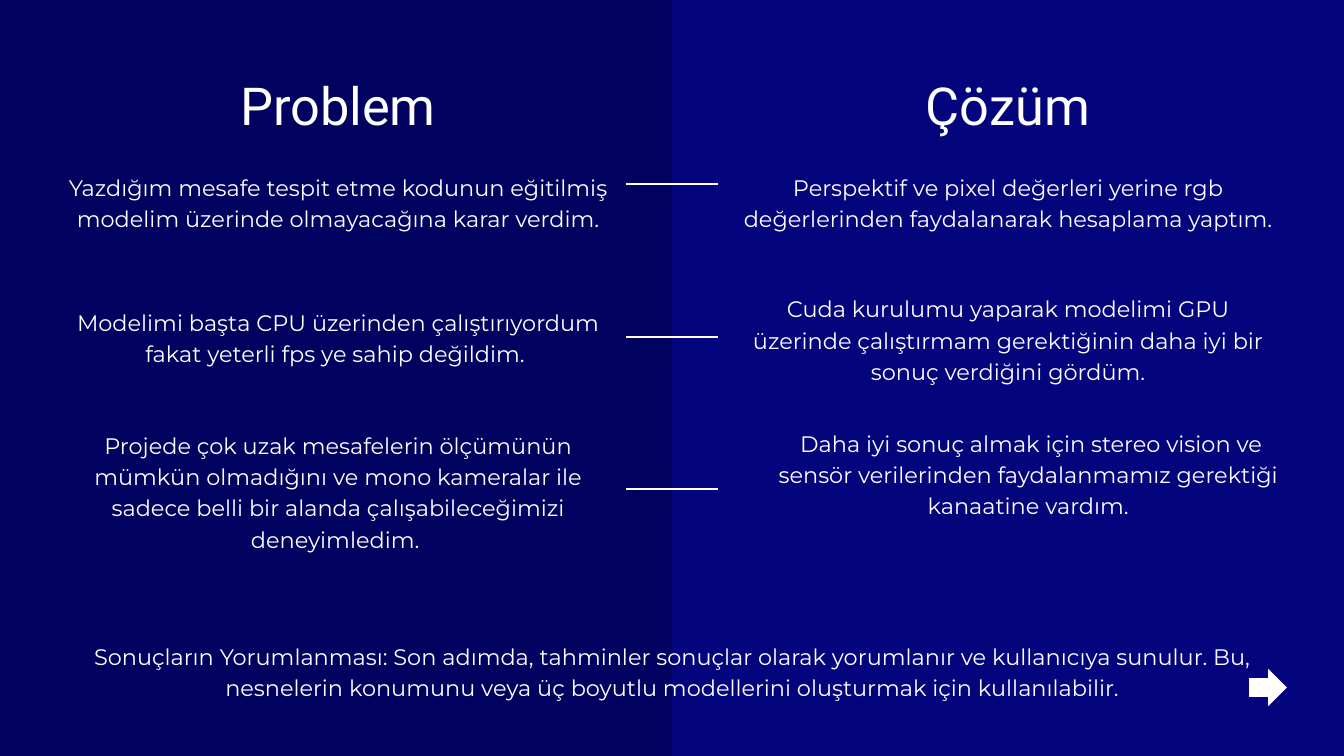
import pptx
import pptx.dml.color
import pptx.enum.shapes
import pptx.enum.text
import pptx.oxml.ns
import pptx.oxml.xmlchemy
import pptx.util
from dataclasses import dataclass

SHAPE = pptx.enum.shapes.MSO_SHAPE
PX = 9144  # 100 px to the inch


@dataclass
class Theme:
    back: str = "01025F"
    panel: str = "050682"
    ink: str = "FFFFFF"
    head: tuple = ("Roboto", 56, 57.7)  # font, size, line spacing
    body: tuple = ("Montserrat", 24, 33.6)
    rule: float = 2.25


def rgb(code):
    return pptx.dml.color.RGBColor.from_string(code)


def add_xml(parent, tag, **attrs):
    node = pptx.oxml.xmlchemy.OxmlElement(tag)
    for key, value in attrs.items():
        node.set(key, value)
    parent.append(node)


class Deck:
    def __init__(self, theme, width, height):
        self.theme = theme
        self.prs = pptx.Presentation()
        self.prs.slide_width = width * PX
        self.prs.slide_height = height * PX
        self.slide = self.prs.slides.add_slide(self.prs.slide_layouts[6])
        fill = self.slide.background.fill
        fill.solid()
        fill.fore_color.rgb = rgb(theme.back)

    def shape(self, kind, box, color, alpha=100):
        item = self.slide.shapes.add_shape(kind, *(n * PX for n in box))
        item.shadow.inherit = False
        item.fill.solid()
        item.fill.fore_color.rgb = rgb(color)
        item.line.fill.background()
        if alpha < 100:
            node = item._element.spPr.find(".//" + pptx.oxml.ns.qn("a:srgbClr"))
            add_xml(node, "a:alpha", val=str(alpha * 1000))

    def text(self, words, box, style):
        font, size, lead = style
        frame = self.slide.shapes.add_textbox(*(n * PX for n in box)).text_frame
        frame.word_wrap = True
        frame.margin_left = frame.margin_right = 0
        frame.margin_top = frame.margin_bottom = 0
        frame.text = words
        para = frame.paragraphs[0]
        para.alignment = pptx.enum.text.PP_ALIGN.CENTER
        para.line_spacing = pptx.util.Pt(lead)
        for run in para.runs:
            run.font.name = font
            run.font.size = pptx.util.Pt(size)
            run.font.color.rgb = rgb(self.theme.ink)

    def line(self, left, right, y):
        item = self.slide.shapes.add_connector(
            pptx.enum.shapes.MSO_CONNECTOR.STRAIGHT,
            left * PX, y * PX, right * PX, y * PX)
        item.line.color.rgb = rgb(self.theme.ink)
        item.line.width = pptx.util.Pt(self.theme.rule)
        add_xml(item._element.spPr, "a:effectLst")


def main():
    theme = Theme()
    deck = Deck(theme, 2000, 1125)
    left, right, wide = 98, 1095, 810

    # Lighter right half
    deck.shape(SHAPE.RECTANGLE, (1000, 0, 1000, 1125), theme.panel, 88)

    # Headings
    for words, x in (("Problem", left), ("Çözüm", right)):
        deck.text(words, (x, 122, wide, 83), theme.head)

    # Problems and solutions: text, left, top, height
    notes = (
        ("Yazdığım mesafe tespit etme kodunun eğitilmiş modelim üzerinde "
         "olmayacağına karar verdim.", left, 252, 89),
        ("Modelimi başta CPU üzerinden çalıştırıyordum fakat yeterli fps ye "
         "sahip değildim. ", left, 453, 89),
        ("Projede çok uzak mesafelerin ölçümünün mümkün olmadığını ve mono "
         "kameralar ile sadece belli bir alanda çalışabileceğimizi "
         "deneyimledim. ", left, 636, 181),
        ("Perspektif ve pixel değerleri yerine rgb değerlerinden "
         "faydalanarak hesaplama yaptım.", right, 252, 135),
        ("Cuda kurulumu yaparak modelimi GPU üzerinde çalıştırmam "
         "gerektiğinin daha iyi bir sonuç verdiğini gördüm.",
         right, 433, 181),
        (" Daha iyi sonuç almak için stereo vision ve sensör verilerinden "
         "faydalanmamız gerektiği kanaatine vardım.", right + 30, 633, 181),
    )
    for words, x, y, high in notes:
        deck.text(words, (x, y, wide, high), theme.body)

    # Links between the halves
    for row in range(3):
        deck.line(932, 1068, 274 + 227 * row)

    # Closing remark and next arrow
    deck.text("Sonuçların Yorumlanması: Son adımda, tahminler sonuçlar olarak "
              "yorumlanır ve kullanıcıya sunulur. Bu, nesnelerin konumunu veya "
              "üç boyutlu modellerini oluşturmak için kullanılabilir.",
              (65, 950, 1870, 89), theme.body)
    deck.shape(SHAPE.RIGHT_ARROW, (1859, 995, 56, 56), theme.ink)

    deck.prs.save("out.pptx")


if __name__ == "__main__":
    main()
